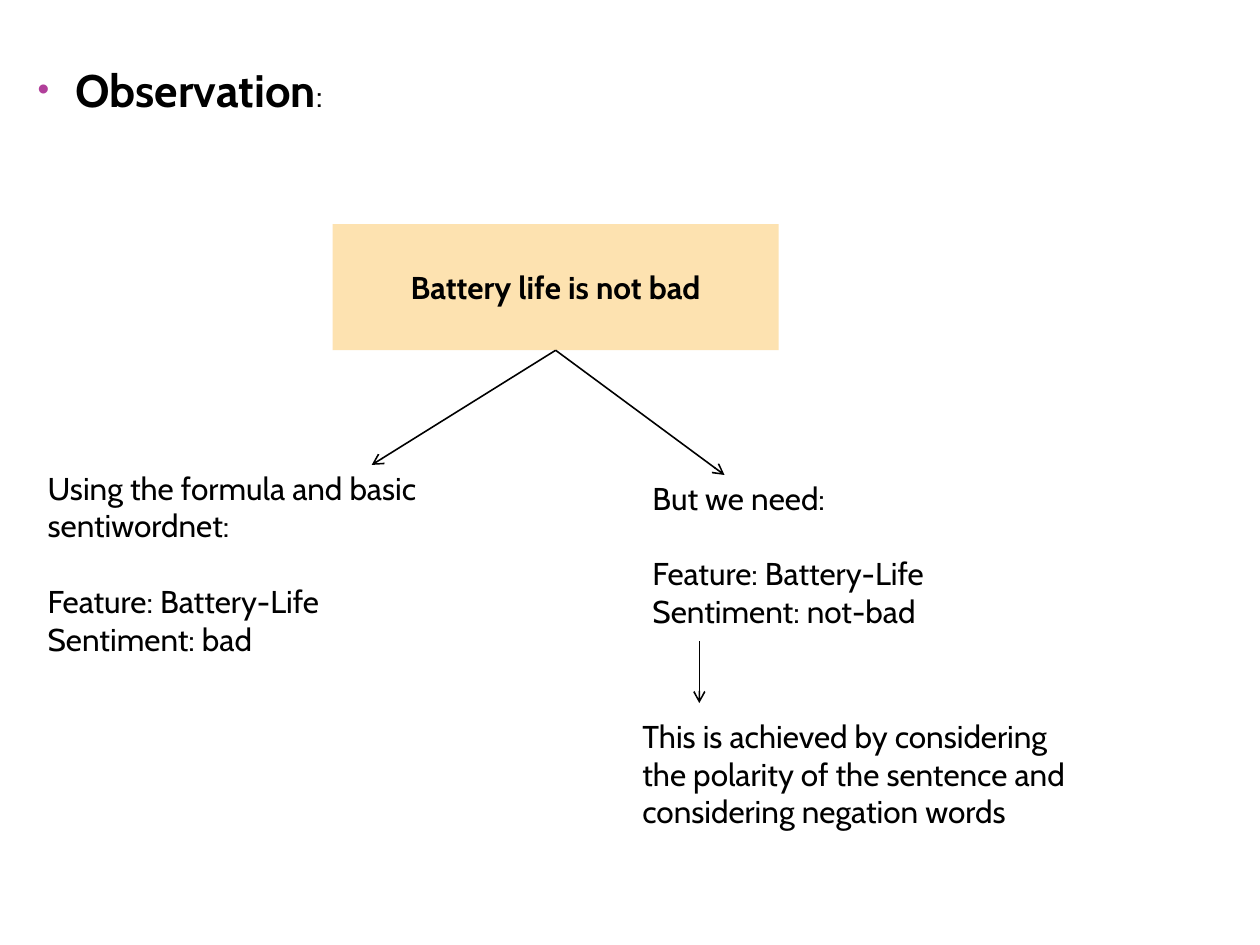
import pptx
import pptx.dml.color
import pptx.enum.shapes
import pptx.enum.text
import pptx.oxml.ns
import pptx.util
from lxml import etree

Inches = pptx.util.Inches
Pt = pptx.util.Pt
COLORS = {"text": "000000", "statement": "FDE2B0", "bullet": "B13F9A"}


def color(name):
    """Return the named colour."""
    return pptx.dml.color.RGBColor.from_string(COLORS[name])


def add_xml(parent, tag, **attributes):
    """Append an XML element to the parent and return it."""
    return etree.SubElement(parent, pptx.oxml.ns.qn(tag), attributes)


class SlideBuilder:
    """Holds the style and the current slide."""

    font = "Cabin"
    size = 18
    line_width = 0.9
    line_gap = 21.5

    def __init__(self, page):
        self.page = page

    def style(self, font, size=None, bold=False):
        """Set the typeface, size, weight and colour of a font."""
        font.name = self.font
        font.size = Pt(size or self.size)
        font.bold = bold
        font.color.rgb = color("text")

    def text(self, left, top, width, height, *lines):
        """Add a text box; a gap of one line follows the first paragraph."""
        box = self.page.shapes.add_textbox(
            Inches(left), Inches(top), Inches(width), Inches(height))
        frame = box.text_frame
        frame.word_wrap = True
        frame.text = "\n".join(lines)
        for number, para in enumerate(frame.paragraphs):
            self.style(para.font)
            if number == 1:
                para.space_before = Pt(self.line_gap)

    def heading(self, left, top, width, height, title, ending):
        """Add a bulleted heading with a smaller ending."""
        box = self.page.shapes.add_textbox(
            Inches(left), Inches(top), Inches(width), Inches(height))
        box.text_frame.word_wrap = True
        para = box.text_frame.paragraphs[0]
        para.space_before = Pt(6)
        for words, size, bold in ((title, 26, True), (ending, self.size, False)):
            span = para.add_run()
            span.text = words
            self.style(span.font, size, bold)
        properties = para._p.get_or_add_pPr()
        properties.set("marL", str(Inches(0.3)))
        properties.set("indent", str(Inches(-0.3)))
        bullet_color = add_xml(properties, "a:buClr")
        add_xml(bullet_color, "a:srgbClr", val=COLORS["bullet"])
        add_xml(properties, "a:buSzPct", val="73000")
        add_xml(properties, "a:buFont", typeface="Arial")
        add_xml(properties, "a:buChar", char="•")

    def statement(self, left, top, width, height, words):
        """Add a filled rectangle with bold centred text."""
        box = self.page.shapes.add_shape(
            pptx.enum.shapes.MSO_SHAPE.RECTANGLE,
            Inches(left), Inches(top), Inches(width), Inches(height))
        box.shadow.inherit = False
        box.fill.solid()
        box.fill.fore_color.rgb = color("statement")
        box.line.fill.background()
        box.text_frame.text = words
        box.text_frame.vertical_anchor = pptx.enum.text.MSO_ANCHOR.MIDDLE
        para = box.text_frame.paragraphs[0]
        para.alignment = pptx.enum.text.PP_ALIGN.CENTER
        self.style(para.font, bold=True)

    def arrow(self, start, end):
        """Add a straight line with an open arrowhead at its end."""
        line = self.page.shapes.add_connector(
            pptx.enum.shapes.MSO_CONNECTOR.STRAIGHT,
            *(Inches(value) for value in start + end))
        line.line.color.rgb = color("text")
        line.line.width = Pt(self.line_width)
        add_xml(line.line._get_or_add_ln(), "a:tailEnd", type="arrow")
        add_xml(line._element.spPr, "a:effectLst")


def main():
    """Build and save the deck."""
    deck = pptx.Presentation()
    deck.slide_width, deck.slide_height = Inches(10), Inches(7.5)
    slide = SlideBuilder(deck.slides.add_slide(deck.slide_layouts[6]))

    slide.statement(2.64, 1.78, 3.54, 1, "Battery life is not bad")
    fork = (4.41, 2.78)
    for start, end in ((fork, (2.95, 3.69)), (fork, (5.75, 3.77)),
                       ((5.55, 5.09), (5.55, 5.58))):
        slide.arrow(start, end)

    feature = "Feature: Battery-Life"
    slide.text(0.28, 3.67, 3.86, 1.62,
               "Using the formula and basic sentiwordnet:",
               feature, "Sentiment: bad")
    slide.text(5.08, 3.75, 3.86, 1.31,
               "But we need:", feature, "Sentiment: not-bad")
    slide.text(5, 5.64, 3.62, 1.31,
               "This is achieved by considering the polarity of the sentence "
               "and considering negation words")
    slide.heading(0.2, 0.44, 7.92, 0.63, "Observation", ":")

    deck.save("out.pptx")


main()
